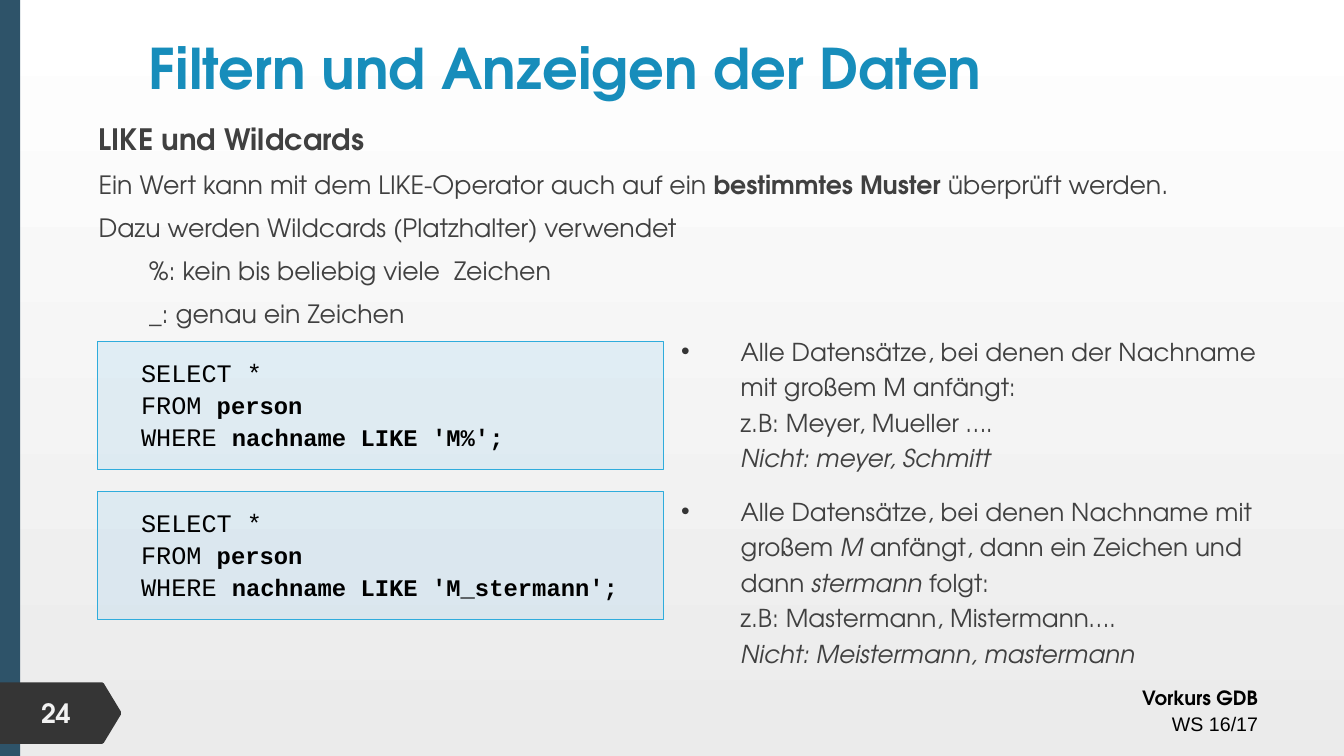
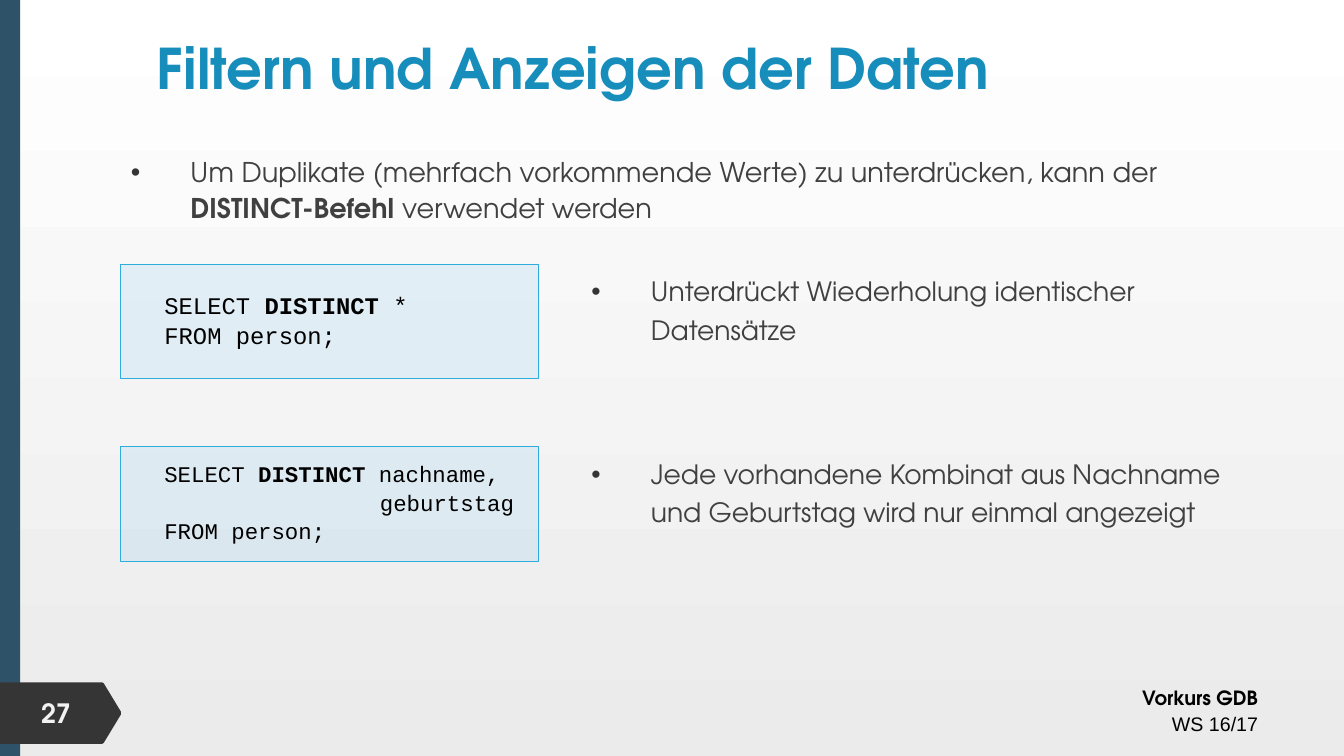
from lxml.etree import SubElement
from pptx import Presentation
from pptx.dml.color import RGBColor
from pptx.enum.shapes import MSO_SHAPE
from pptx.enum.text import MSO_ANCHOR, PP_ALIGN
from pptx.oxml.ns import qn
from pptx.util import Pt

# Shared style
WHITE = RGBColor(0xFF, 0xFF, 0xFF)
LIGHT_GRAY = RGBColor(0xEB, 0xEB, 0xEB)
NUMBER_GRAY = RGBColor(0xF2, 0xF2, 0xF2)
TEXT_GRAY = RGBColor(0x40, 0x40, 0x40)
DARK_GRAY = RGBColor(0x35, 0x35, 0x35)
BLACK = RGBColor(0, 0, 0)
BAR_BLUE = RGBColor(0x2E, 0x53, 0x69)
TITLE_BLUE = RGBColor(0x17, 0x8D, 0xBB)
CODE_FILL = RGBColor(0xA8, 0xD5, 0xF0)
CODE_LINE = RGBColor(0x2F, 0xAC, 0xDC)
SANS = "TeX Gyre Adventor"
MONO = "Courier New"
BULLET_INDENT = Pt(42.5)
FOOTER_TAG = [(0, 487.4), (73, 487.4), (74.2, 488.2), (86.4, 508.4),
              (86.4, 510.4), (74.2, 530.6), (73, 531.4), (0, 531.4)]


def write(box, lines, size, color=TEXT_GRAY, font=SANS, spacing=None, before=0,
          align=PP_ALIGN.LEFT, bold_size=None, bullet=False):
    """Each line is a list of (text, style) pieces; style is "", "b" or "i"."""
    frame = box.text_frame
    frame.word_wrap = True
    for number, pieces in enumerate(lines):
        para = frame.add_paragraph() if number else frame.paragraphs[0]
        para.alignment = align
        para.space_before = Pt(before)
        para.line_spacing = spacing
        for text, style in pieces:
            for part_number, part in enumerate(text.split("\n")):
                if part_number:
                    para.add_line_break()
                if not part:
                    continue
                span = para.add_run()
                span.text = part
                span.font.name = font
                span.font.size = Pt(bold_size if bold_size and style == "b" else size)
                span.font.color.rgb = color
                span.font.bold = style == "b"
                span.font.italic = style == "i"
        if bullet:
            properties = para._p.get_or_add_pPr()
            properties.set("marL", str(BULLET_INDENT))
            properties.set("indent", str(-BULLET_INDENT))
            bullet_color = SubElement(properties, qn("a:buClr"))
            SubElement(bullet_color, qn("a:srgbClr"), val=str(DARK_GRAY))
            SubElement(properties, qn("a:buFont"), typeface="Arial")
            SubElement(properties, qn("a:buChar"), char="•")


def add_text(slide, position, lines, size, **style):
    box = slide.shapes.add_textbox(*[Pt(length) for length in position])
    write(box, lines, size, **style)
    return box


deck = Presentation()
deck.slide_width, deck.slide_height = Pt(960), Pt(540)

# Background, bar, footer and title of every slide
slides = []
for page_number, title in [("24", "Filtern und Anzeigen der Daten "),
                           ("27", "Filtern und Anzeigen der Daten")]:
    slide = deck.slides.add_slide(deck.slide_layouts[6])
    slides.append(slide)
    background = slide.background.fill
    background.gradient()
    background.gradient_angle = 270
    for stop, color in zip(background.gradient_stops, [WHITE, LIGHT_GRAY]):
        stop.color.rgb = color

    bar = slide.shapes.add_shape(MSO_SHAPE.RECTANGLE, 0, 0, Pt(14.4), Pt(540))
    outline = [(Pt(x), Pt(y)) for x, y in FOOTER_TAG]
    builder = slide.shapes.build_freeform(*outline[0])
    builder.add_line_segments(outline[1:])
    tag = builder.convert_to_shape()
    for shape, color in [(bar, BAR_BLUE), (tag, DARK_GRAY)]:
        shape.shadow.inherit = False
        shape.fill.solid()
        shape.fill.fore_color.rgb = color
        shape.line.fill.background()

    add_text(slide, (22.3, 493.9, 50.4, 30.2), [[(page_number, "b")]], 19, color=NUMBER_GRAY)
    footer = add_text(slide, (531.4, 483.8, 374.4, 46),
                      [[("Vorkurs GDB", "b")], [("WS 16/17", "")]], 14,
                      color=BLACK, spacing=1.14, align=PP_ALIGN.RIGHT)
    footer.text_frame.paragraphs[1].runs[0].font.name = "Arial"
    heading = add_text(slide, (86.4, 18.7, 645.8, 58.3), [[(title, "b")]], 40,
                       color=TITLE_BLUE, align=PP_ALIGN.CENTER)
    heading.text_frame.vertical_anchor = MSO_ANCHOR.MIDDLE

wildcards, distinct = slides

# Introductions
intro = add_text(wildcards, (63.4, 80.6, 819.4, 170), [
    [("LIKE und Wildcards", "b")],
    [("Ein Wert kann mit dem LIKE-Operator auch auf ein ", ""),
     ("bestimmtes Muster ", "b"), ("überprüft werden.", "")],
    [("Dazu werden Wildcards (Platzhalter) verwendet", "")],
    [("%: kein bis beliebig viele  Zeichen", "")],
    [("_: genau ein Zeichen", "")],
], 18, spacing=1.1, before=7)
intro.text_frame.paragraphs[0].runs[0].font.size = Pt(21)
for para in intro.text_frame.paragraphs[3:]:
    para._p.get_or_add_pPr().set("marL", str(Pt(36)))

add_text(distinct, (86.4, 105.1, 819.4, 82.8), [
    [("Um Duplikate (mehrfach vorkommende Werte) zu unterdrücken, kann der ", ""),
     ("DISTINCT-Befehl ", "b"), ("verwendet werden", "")],
], 19.4, spacing=1.1, before=10, bullet=True)

# Code boxes: slide, position, code, size, bold size
codes = [
    (wildcards, (69.8, 244.1, 403.9, 91.4),
     [[("SELECT *", "")], [("FROM ", ""), ("person", "b")],
      [("WHERE ", ""), ("nachname LIKE 'M%';", "b")]], 18, 17),
    (wildcards, (69.8, 351.4, 403.9, 91.4),
     [[("SELECT *", "")], [("FROM ", ""), ("person", "b")],
      [("WHERE ", ""), ("nachname LIKE 'M_stermann';", "b")]], 18, 17),
    (distinct, (86.4, 188.6, 298, 82),
     [[("SELECT ", ""), ("DISTINCT", "b"), (" *", "")], [("FROM person;", "")]], 17, 17),
    (distinct, (86.4, 319, 298, 82),
     [[("SELECT ", ""), ("DISTINCT ", "b"), ("nachname,", "")],
      [("geburtstag", "")], [("FROM person;", "")]], 16, 16),
]
for slide, position, code, size, bold_size in codes:
    box = slide.shapes.add_shape(MSO_SHAPE.RECTANGLE, *[Pt(length) for length in position])
    box.shadow.inherit = False
    box.fill.solid()
    box.fill.fore_color.rgb = CODE_FILL
    fill_color = box.fill._xPr.find(qn("a:solidFill"))[0]
    SubElement(fill_color, qn("a:alpha"), val="27000")
    box.line.color.rgb = CODE_LINE
    box.line.width = Pt(0.75)
    frame = box.text_frame
    frame.vertical_anchor = MSO_ANCHOR.MIDDLE
    frame.margin_left, frame.margin_top = Pt(31), 0
    frame.margin_right, frame.margin_bottom = Pt(7.2), Pt(3.6)
    write(box, code, size, color=BLACK, font=MONO, spacing=1.06, bold_size=bold_size)

# The last code box lines its second column up below the first
frame.paragraphs[1]._p.get_or_add_pPr().set("marL", str(Pt(154)))

# Explanations: slide, position, text, size, space before
notes = [
    (wildcards, (479.5, 232.6, 454.3, 113.8),
     [("Alle Datensätze, bei denen der Nachname mit großem M anfängt:\n"
       "z.B: Meyer, Mueller ….\n", ""), ("Nicht: meyer, Schmitt", "i")], 17.6, 14),
    (wildcards, (479.5, 347, 449.3, 141),
     [("Alle Datensätze, bei denen Nachname mit großem ", ""), ("M ", "i"),
      ("anfängt, dann ein Zeichen und dann ", ""), ("stermann ", "i"),
      ("folgt:\nz.B: Mastermann, Mistermann….\n", ""),
      ("Nicht: Meistermann, mastermann", "i")], 17.6, 14),
    (distinct, (415.4, 188.6, 459.4, 101.5),
     [("Unterdrückt Wiederholung identischer Datensätze", "")], 19, 10),
    (distinct, (415.4, 319, 501.8, 101.5),
     [("Jede vorhandene Kombinat aus Nachname und Geburtstag "
       "wird nur einmal angezeigt", "")], 19, 10),
]
for slide, position, pieces, size, before in notes:
    add_text(slide, position, [pieces], size, spacing=1.2, before=before, bullet=True)

deck.save("out.pptx")
